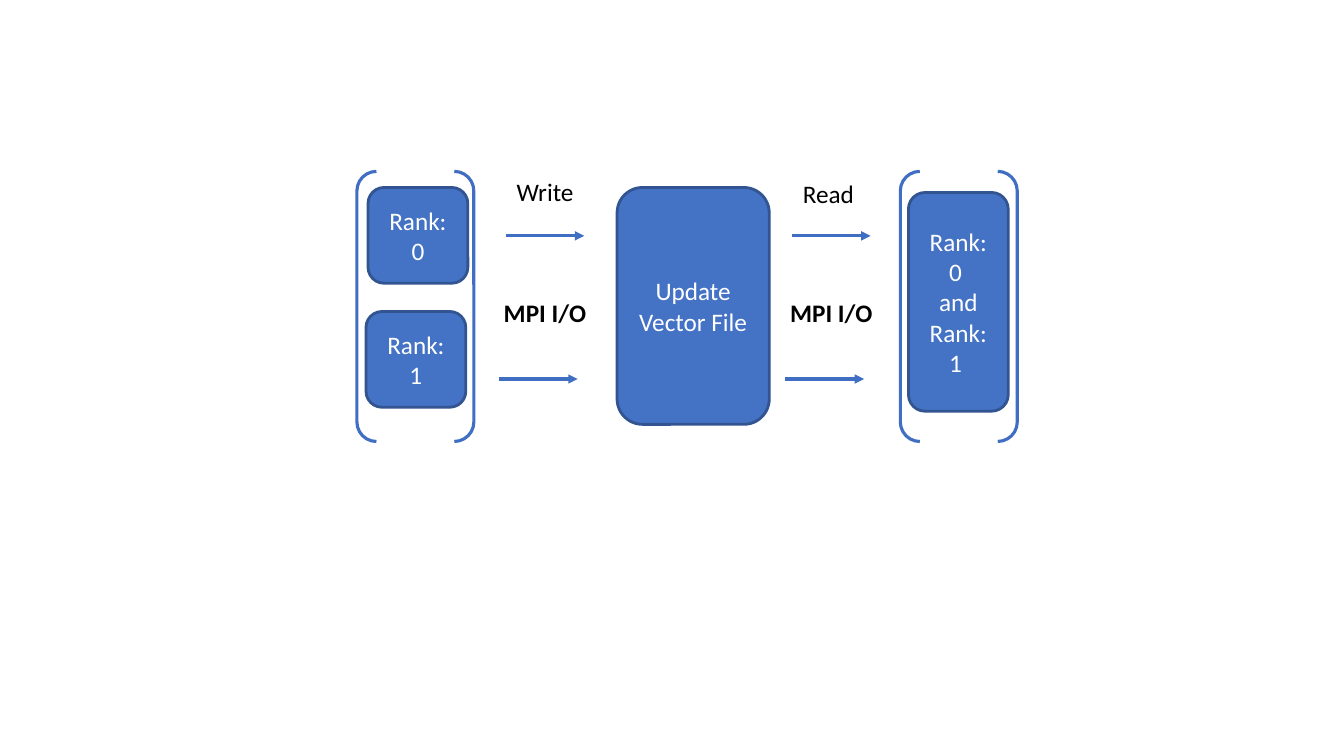
from lxml import etree
from pptx import Presentation
from pptx import util as u
from pptx.dml import color
from pptx.enum import shapes, text
from pptx.oxml import ns

COLORS = {
    "fill": "4472C4",
    "outline": "325491",
    "accent": "3F6EC2",
    "light": "FFFFFF",
    "dark": "000000",
}
COLUMN = ROW = u.Inches(0.1)
FONT = "Calibri"
TEXT_SIZE = 18


def rgb(name):
    return color.RGBColor.from_string(COLORS[name])


def grid(left, top, width, height):
    return (
        round(left * COLUMN),
        round(top * ROW),
        round(width * COLUMN),
        round(height * ROW),
    )


def set_line(shape, name, width):
    shape.line.color.rgb = rgb(name)
    shape.line.width = u.Pt(width)


def set_text(frame, words, name, alignment, bold=False):
    frame.text = words
    for paragraph in frame.paragraphs:
        paragraph.alignment = alignment
        for run in paragraph.runs:
            run.font.name = FONT
            run.font.size = u.Pt(TEXT_SIZE)
            run.font.bold = bold
            run.font.color.rgb = rgb(name)


def add_card(slide, box, words):
    card = slide.shapes.add_shape(shapes.MSO_SHAPE.ROUNDED_RECTANGLE, *grid(*box))
    card.shadow.inherit = False
    card.fill.solid()
    card.fill.fore_color.rgb = rgb("fill")
    set_line(card, "outline", 2)
    card.text_frame.vertical_anchor = text.MSO_ANCHOR.MIDDLE
    set_text(card.text_frame, words, "light", text.PP_ALIGN.CENTER)


def add_label(slide, box, words, alignment, bold=False):
    frame = slide.shapes.add_textbox(*grid(*box)).text_frame
    frame.word_wrap = True
    set_text(frame, words, "dark", alignment, bold)


def add_arrow(slide, left, top, length):
    x, y, width, _ = grid(left, top, length, 0)
    arrow = slide.shapes.add_connector(
        shapes.MSO_CONNECTOR.STRAIGHT, x, y, x + width, y
    )
    set_line(arrow, "accent", 2.25)
    properties = arrow._element.spPr
    etree.SubElement(
        properties.find(ns.qn("a:ln")), ns.qn("a:tailEnd"), type="triangle"
    )
    etree.SubElement(properties, ns.qn("a:effectLst"))


def add_rank_group(slide, box, cards):
    left, top, _, _ = box
    brackets = slide.shapes.add_shape(shapes.MSO_SHAPE.DOUBLE_BRACKET, *grid(*box))
    brackets.shadow.inherit = False
    brackets.fill.background()
    set_line(brackets, "accent", 2.25)
    for right, down, height, words in cards:
        add_card(slide, (left + right, top + down, 9.9, height), words)


def add_transfer(slide, box, caption, caption_drop):
    left, top, width, height = box
    add_label(
        slide,
        (left + 4.15, top + caption_drop, 9, 4),
        caption,
        text.PP_ALIGN.LEFT,
    )
    add_label(
        slide, (left, top + 12, width, 4), "MPI I/O", text.PP_ALIGN.CENTER, bold=True
    )
    for right, down in ((4.05, 6.4), (3.4, height)):
        add_arrow(slide, left + right, top + down, 7.8)


def build_slide(presentation):
    slide = presentation.slides.add_slide(presentation.slide_layouts[6])
    add_rank_group(
        slide,
        (35.4, 17, 11.6, 26.8),
        [(1.1, 1.6, 9.5, "Rank:\n0"), (0.9, 13.9, 9.5, "Rank:\n1")],
    )
    add_transfer(slide, (46.1, 17, 15.9, 20.6), "Write", 0)
    add_card(slide, (61.2, 18.6, 15.1, 23.5), "Update Vector File")
    add_transfer(slide, (74.5, 17, 15.9, 20.6), "Read", 0.2)
    add_rank_group(
        slide,
        (89.3, 17, 11.6, 26.8),
        [(0.8, 2.1, 21.7, "Rank:\n0 \nand\nRank: 1 ")],
    )


presentation = Presentation()
presentation.slide_width = u.Inches(13.33)
presentation.slide_height = u.Inches(7.5)
build_slide(presentation)
presentation.save("out.pptx")
